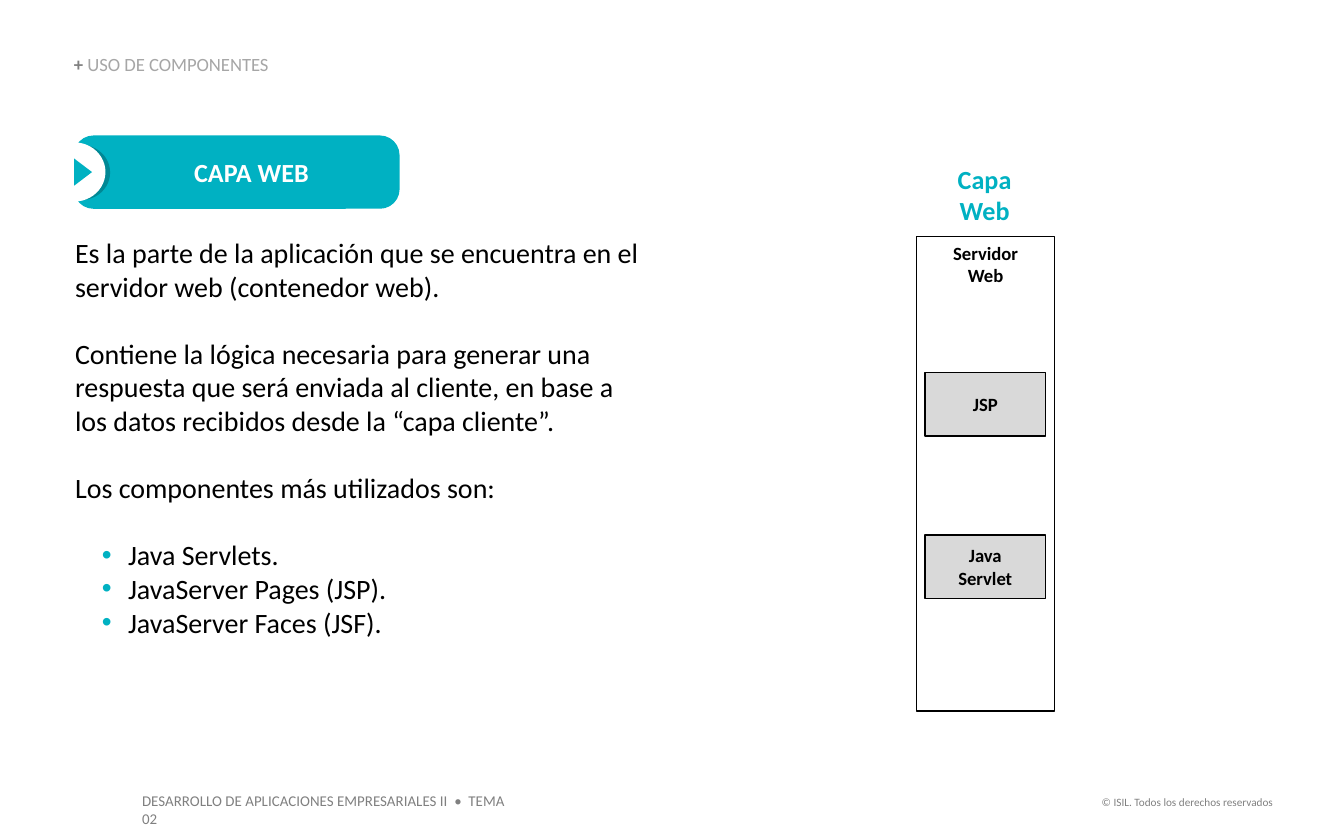
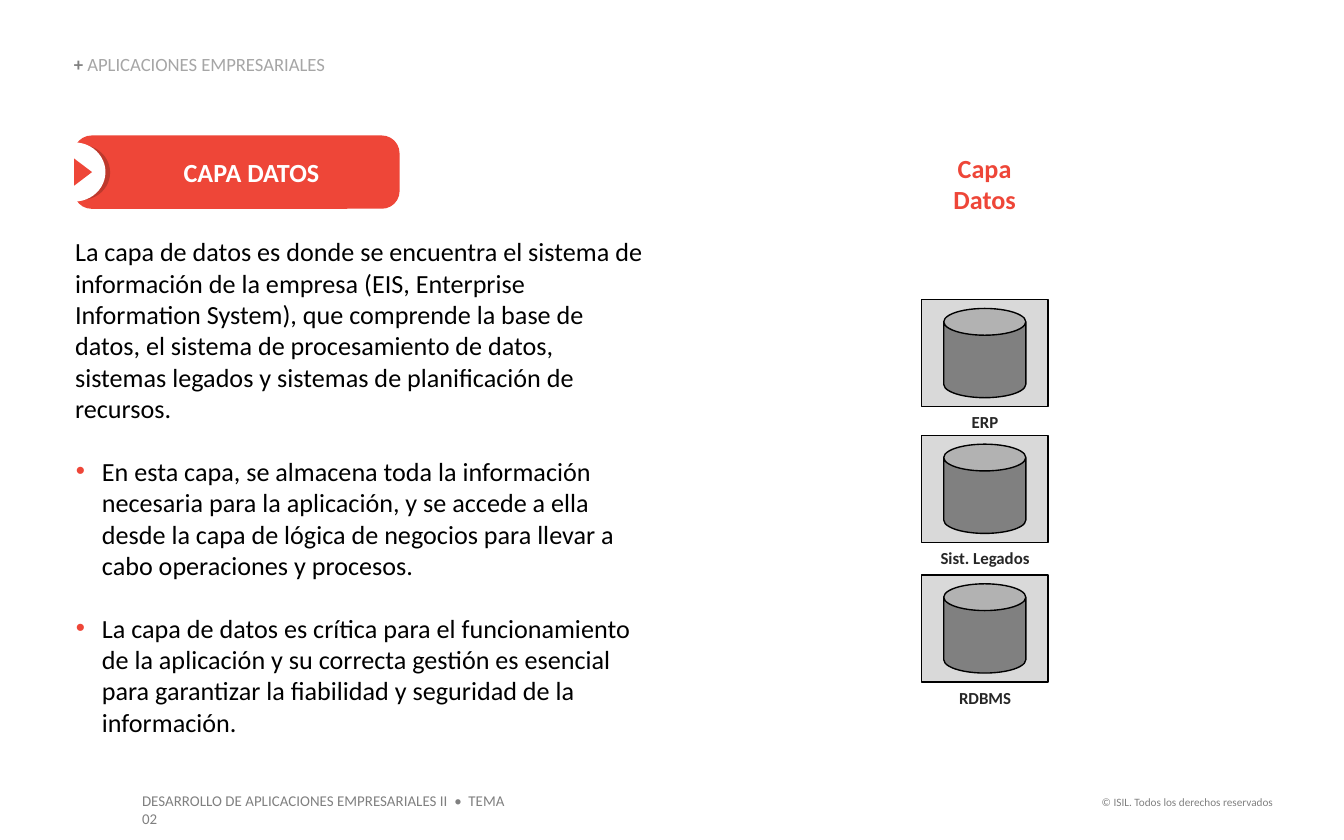
from dataclasses import dataclass

from lxml.etree import SubElement as Sub
from pptx import Presentation
from pptx.dml.color import RGBColor as Rgb
from pptx.enum.shapes import MSO_SHAPE as Kind
from pptx.enum.text import MSO_ANCHOR as Anchor, MSO_AUTO_SIZE as Fit, PP_ALIGN as Align
from pptx.oxml.ns import qn
from pptx.util import Pt


@dataclass(frozen=True)
class Theme:
    font: str = "Calibri"
    black: str = "000000"
    white: str = "FFFFFF"
    dark: str = "262626"
    gray: str = "808080"
    mute: str = "A6A6A6"
    pale: str = "D9D9D9"
    head: int = 14
    crumb: int = 10
    node: int = 10
    label: int = 9
    foot: int = 8
    legal: int = 6


T = Theme()


def write(frame, lines, size, color, bold=False, align=Align.CENTER,
          anchor=Anchor.TOP, inset=(0, 0, 0, 0)):
    """Fill a text frame, one paragraph per line; a line is a string or a list of (text, color, bold)."""
    frame.word_wrap = True
    frame.auto_size = Fit.NONE
    frame.vertical_anchor = anchor
    (frame.margin_left, frame.margin_top,
     frame.margin_right, frame.margin_bottom) = map(Pt, inset)
    for n, line in enumerate(lines):
        para = frame.add_paragraph() if n else frame.paragraphs[0]
        para.alignment = align
        para.space_before = Pt(0)
        parts = [(line, color, bold)] if isinstance(line, str) else line
        for text, tint, heavy in parts:
            run = para.add_run()
            run.text = text
            font = run.font
            font.name, font.size, font.bold = T.font, Pt(size), heavy
            font.color.rgb = Rgb.from_string(tint)


def draw(group, kind, at, fill, line=None):
    shape = group.shapes.add_shape(kind, *map(Pt, at))
    shape.shadow.inherit = False
    shape.fill.solid()
    shape.fill.fore_color.rgb = Rgb.from_string(fill)
    if line:
        shape.line.color.rgb = Rgb.from_string(line)
        shape.line.width = Pt(0.75)
    else:
        shape.line.fill.background()
    return shape


# Body items: (text, bullet indent or None, gap above in lines)
pages = [
    dict(crumb="USO DE COMPONENTES", title="CAPA WEB", tint="00B1C2", shade="008895",
         round=0.267, size=15, gap=18, tall=218,
         body=[
             ("Es la parte de la aplicación que se encuentra en el servidor web (contenedor web).", None, 0),
             ("Contiene la lógica necesaria para generar una respuesta que será enviada al cliente, "
              "en base a los datos recibidos desde la “capa cliente”.", None, 1),
             ("Los componentes más utilizados son:", None, 1),
             ("Java Servlets.", 28.4, 1),
             ("JavaServer Pages (JSP).", 28.4, 0),
             ("JavaServer Faces (JSF).", 28.4, 0),
         ],
         layer=["Capa", "Web"], top=87.3),
    dict(crumb="APLICACIONES EMPRESARIALES", title="CAPA DATOS", tint="EE4638", shade="BE392C",
         round=0.242, size=14, gap=16.8, tall=271.5,
         body=[
             ("La capa de datos es donde se encuentra el sistema de información de la empresa "
              "(EIS, Enterprise Information System), que comprende la base de datos, el sistema de "
              "procesamiento de datos, sistemas legados y sistemas de planificación de recursos.", None, 0),
             ("En esta capa, se almacena toda la información necesaria para la aplicación, y se accede "
              "a ella desde la capa de lógica de negocios para llevar a cabo operaciones y procesos.", 14.4, 1),
             ("La capa de datos es crítica para el funcionamiento de la aplicación y su correcta gestión "
              "es esencial para garantizar la fiabilidad y seguridad de la información.", 14.4, 1),
         ],
         layer=["Capa", "Datos"], top=81.4),
]

deck = Presentation()
deck.slide_width, deck.slide_height = Pt(720), Pt(450)
layout = deck.slide_layouts[1]
for slot in list(layout.placeholders):
    if slot.placeholder_format.idx >= 10:
        layout.shapes.element.remove(slot.element)

groups = []
for page in pages:
    slide = deck.slides.add_slide(layout)

    # Section heading
    crumb = slide.shapes.title
    crumb.left, crumb.top, crumb.width, crumb.height = map(Pt, (39.6, 29.5, 191.5, 10.8))
    write(crumb.text_frame, [[("+ ", T.gray, True), (page["crumb"], T.mute, False)]],
          T.crumb, T.mute, align=Align.LEFT, anchor=Anchor.BOTTOM)
    crumb.text_frame.paragraphs[0].line_spacing = 0.9

    # Badge
    badge = slide.shapes.add_group_shape()
    plate = draw(badge, Kind.ROUNDED_RECTANGLE, (39.6, 72.6, 174.5, 39.3), page["tint"])
    plate.adjustments[0] = page["round"]
    write(plate.text_frame, [page["title"]], T.head, T.white, True,
          anchor=Anchor.MIDDLE, inset=(23, 3.6, 7.2, 3.6))
    draw(badge, Kind.OVAL, (28, 77.6, 31, 29.6), page["shade"])
    draw(badge, Kind.OVAL, (23.2, 76.3, 33.3, 31.7), T.white)
    arrow = draw(badge, Kind.ISOSCELES_TRIANGLE, (37.2, 87.4, 14.6, 9.6), page["tint"])
    arrow.rotation = 90

    # Body list
    body = slide.placeholders[1]
    body.left, body.top, body.width, body.height = map(Pt, (40.2, 126.2, 306, page["tall"]))
    write(body.text_frame, [item[0] for item in page["body"]], page["size"], T.black, align=Align.LEFT)
    for para, (_, indent, gap) in zip(body.text_frame.paragraphs, page["body"]):
        para.space_before = Pt(gap * page["gap"])
        props = para._p.get_or_add_pPr()
        props.set("marL", str(Pt(indent or 0)))
        props.set("indent", str(Pt(-14 if indent else 0)))
        if indent:
            Sub(Sub(props, qn("a:buClr")), qn("a:srgbClr"), val=page["tint"])
            Sub(props, qn("a:buFont"), typeface="Arial")
            Sub(props, qn("a:buChar"), char="•")
        else:
            Sub(props, qn("a:buNone"))

    # Layer heading
    group = slide.shapes.add_group_shape()
    head = group.shapes.add_textbox(*map(Pt, (480, page["top"], 95, 35)))
    write(head.text_frame, page["layer"], T.head, page["tint"], True)
    groups.append(group)

web, data = groups

# Web server and its parts
server = draw(web, Kind.RECTANGLE, (491, 126.6, 74, 254.3), T.white, T.black)
write(server.text_frame, ["Servidor", "Web"], T.node, T.black, True, inset=(0, 2.9, 0, 0))
for top, lines in ((199.6, ["JSP"]), (286.6, ["Java", "Servlet"])):
    node = draw(web, Kind.RECTANGLE, (495.5, top, 64.7, 34), T.pale, T.black)
    write(node.text_frame, lines, T.node, T.black, True, anchor=Anchor.MIDDLE)

# Data stores
for top, name in ((160.5, "ERP"), (233.2, "Sist. Legados"), (308, "RDBMS")):
    draw(data, Kind.RECTANGLE, (493.7, top, 67.8, 57.3), T.pale, T.black)
    can = draw(data, Kind.CAN, (505.6, top + 4.8, 44, 47.8), T.gray, T.black)
    can.adjustments[0] = 0.326
    label = data.shapes.add_textbox(*map(Pt, (498.2, top + 60.2, 59, 11.5)))
    write(label.text_frame, [name], T.label, T.dark, True)

# Footers, moved to the shared layout
for at, text, size, align in (
    ((581, 422.6, 108, 14.4), "© ISIL. Todos los derechos reservados", T.legal, Align.RIGHT),
    ((69, 420.5, 217.5, 17.3), "DESARROLLO DE APLICACIONES EMPRESARIALES II  •  TEMA 02", T.foot, Align.LEFT),
):
    foot = deck.slides[0].shapes.add_textbox(*map(Pt, at))
    write(foot.text_frame, [text], size, T.gray, align=align, inset=(7.2, 3.6, 7.2, 3.6))
    layout.shapes.element.append(foot.element)

deck.save("out.pptx")
